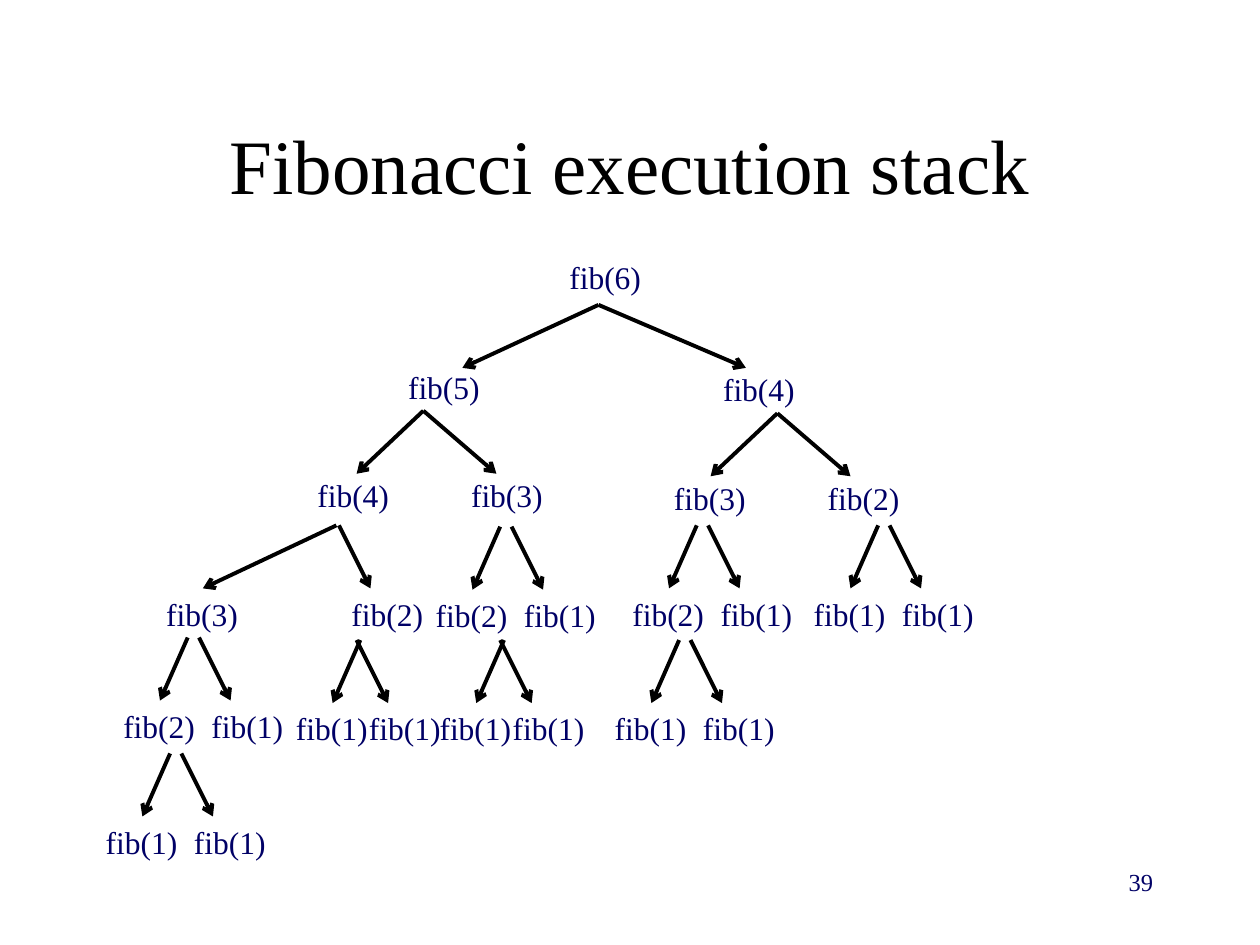
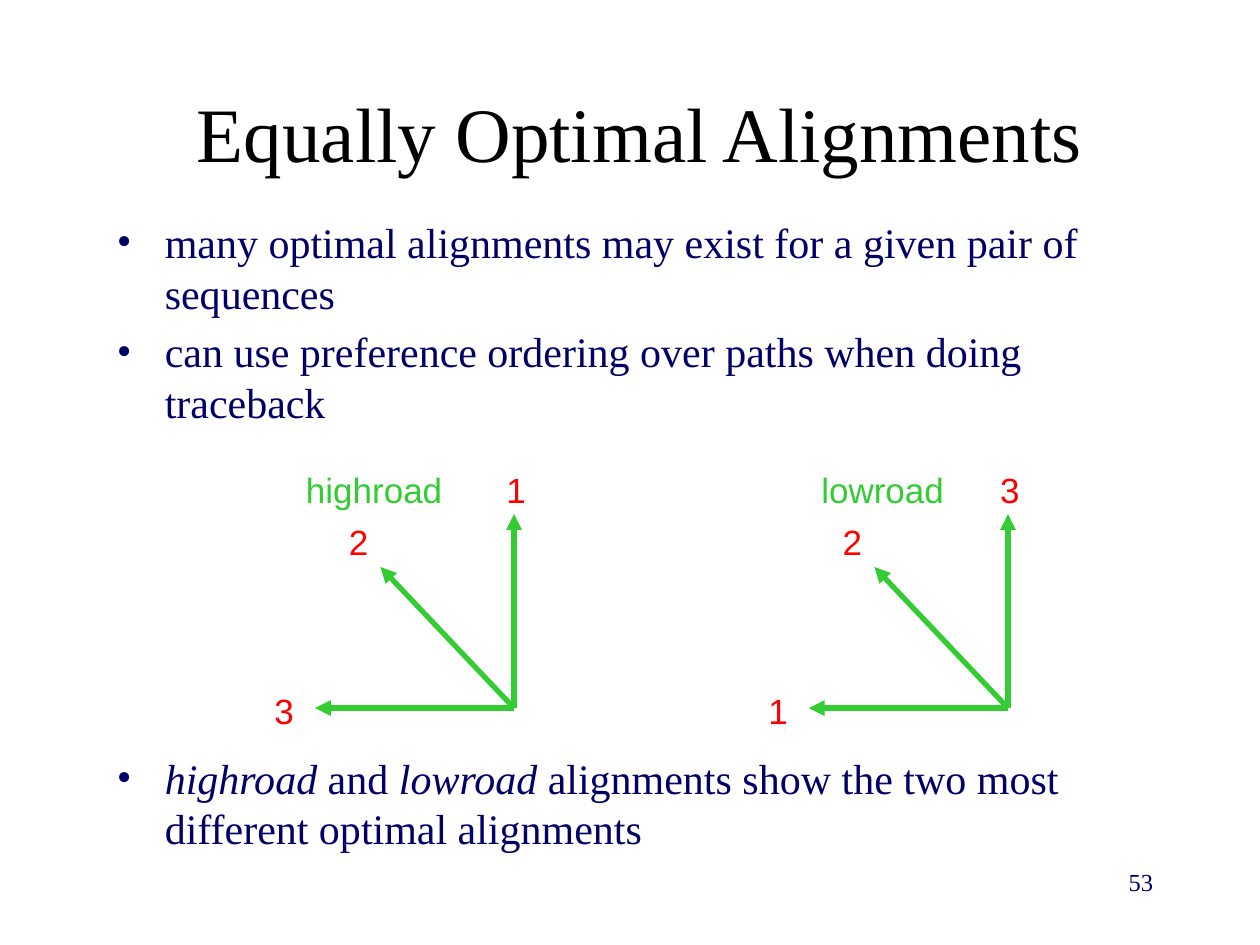
from dataclasses import dataclass

from lxml.etree import SubElement
from pptx import Presentation
from pptx.dml.color import RGBColor
from pptx.enum.shapes import MSO_CONNECTOR as Connector
from pptx.enum.text import MSO_ANCHOR as Anchor, MSO_AUTO_SIZE as AutoSize, PP_ALIGN as Align
from pptx.oxml.ns import qn
from pptx.util import Inches, Pt


@dataclass(frozen=True)
class Theme:
    serif: str = "Times New Roman"
    sans: str = "Arial"
    black: str = "000000"
    navy: str = "000066"
    green: str = "33CC33"
    red: str = "FF0000"
    title_size: int = 44
    body_size: int = 24
    path_size: int = 20
    call_size: int = 18
    number_size: int = 14
    call_line: float = 2.25
    path_line: float = 3
    bullet_indent: float = 0.38
    bullet_gap: float = 4.8


THEME = Theme()
TITLE_FORMAT = dict(name=THEME.serif, size=THEME.title_size, color=THEME.black)
BODY_FORMAT = dict(name=THEME.serif, size=THEME.body_size, color=THEME.navy)
CALL_FORMAT = dict(name=THEME.serif, size=THEME.call_size, color=THEME.navy)
NUMBER_FORMAT = dict(name=THEME.serif, size=THEME.number_size, color=THEME.navy)
ROAD_FORMAT = dict(name=THEME.sans, size=THEME.path_size, color=THEME.green)
RANK_FORMAT = dict(name=THEME.sans, size=THEME.path_size, color=THEME.red)

CALL_SIZE = (0.78, 0.4)
RANK_SIZE = (0.36, 0.43)


@dataclass(frozen=True)
class Fork:
    """Two arrows and the two calls below them, measured from the fork's corner."""
    starts: tuple
    ends: tuple
    call_gap: float
    call_tops: tuple = (0.5, 0.5)


def branch_fork(start):
    return Fork((start, start), (start - 0.53, start + 0.58), 1.22, (0.47, 0.47))


def leaf_fork(call_gap, left_start=0.61):
    return Fork((left_start, call_gap), (0.39, call_gap + 0.25), call_gap)


ROOT = Fork((1.61, 1.61), (0.53, 2.78), 2.5, (0.45, 0.47))
LEFT_BRANCH = branch_fork(0.94)
RIGHT_BRANCH = branch_fork(0.92)
LONG = leaf_fork(1.47, left_start=1.45)
LEAF = leaf_fork(0.7)
TIGHT = leaf_fork(0.58)

FORKS = [
    (ROOT, 3.14, 2.42, (5, 4)),
    (LEFT_BRANCH, 2.42, 3.26, (4, 3)),
    (RIGHT_BRANCH, 5.25, 3.28, (3, 2)),
    (LONG, 1.22, 4.17, (3, 2)),
    (LEAF, 3.36, 4.18, (2, 1)),
    (LEAF, 4.92, 4.17, (2, 1)),
    (LEAF, 6.36, 4.17, (1, 1)),
    (LEAF, 0.88, 5.06, (2, 1)),
    (TIGHT, 2.25, 5.08, (1, 1)),
    (TIGHT, 3.39, 5.08, (1, 1)),
    (LEAF, 4.78, 5.08, (1, 1)),
    (LEAF, 0.74, 5.98, (1, 1)),
]


def add_run(paragraph, text, text_format):
    run = paragraph.add_run()
    run.text = text
    for attribute, value in text_format.items():
        if attribute == "color":
            run.font.color.rgb = RGBColor.from_string(value)
        else:
            setattr(run.font, attribute, Pt(value) if attribute == "size" else value)


def add_box(shapes, box, **frame_format):
    text_frame = shapes.add_textbox(*map(Inches, box)).text_frame
    text_frame.word_wrap = True
    for attribute, value in frame_format.items():
        setattr(text_frame, attribute, value)
    return text_frame


def add_text(shapes, box, text, text_format, alignment=Align.LEFT, **frame_format):
    paragraph = add_box(shapes, box, **frame_format).paragraphs[0]
    paragraph.alignment = alignment
    add_run(paragraph, text, text_format)


def add_label(shapes, box, text, text_format):
    """One-line text whose box hugs it."""
    add_text(shapes, box, text, text_format,
             word_wrap=False, auto_size=AutoSize.SHAPE_TO_FIT_TEXT)


def add_arrow(shapes, start, end, color, width, head):
    arrow = shapes.add_connector(Connector.STRAIGHT, *map(Inches, (*start, *end)))
    arrow.line.color.rgb = RGBColor.from_string(color)
    arrow.line.width = Pt(width)
    SubElement(arrow.line._get_or_add_ln(), qn("a:tailEnd"), type=head)
    SubElement(arrow._element.spPr, qn("a:effectLst"))


def add_bullets(slide, box, items):
    """Each item is a list of (text, italic) pieces."""
    text_frame = add_box(slide.shapes, box)
    for index, pieces in enumerate(items):
        paragraph = text_frame.add_paragraph() if index else text_frame.paragraphs[0]
        properties = paragraph._p.get_or_add_pPr()
        properties.set("marL", str(Inches(THEME.bullet_indent)))
        properties.set("indent", str(-Inches(THEME.bullet_indent)))
        SubElement(properties, qn("a:buFont"), typeface=THEME.serif)
        SubElement(properties, qn("a:buChar"), char="•")
        if index:
            paragraph.space_before = Pt(THEME.bullet_gap)
        for text, italic in pieces:
            add_run(paragraph, text, BODY_FORMAT | dict(italic=italic))


def add_slide(presentation, title, title_corner, number):
    slide = presentation.slides.add_slide(presentation.slide_layouts[6])
    add_text(slide.shapes, (*title_corner, 8.5, 1.25), title, TITLE_FORMAT,
             Align.CENTER, vertical_anchor=Anchor.MIDDLE)
    add_text(slide.shapes, (7.17, 6.83, 2.08, 0.5), str(number), NUMBER_FORMAT, Align.RIGHT)
    return slide


def add_call(shapes, left, top, argument):
    add_label(shapes, (left, top, *CALL_SIZE), f"fib({argument})", CALL_FORMAT)


def add_fork(slide, fork, left, top, arguments):
    shapes = slide.shapes.add_group_shape().shapes
    for start, end in zip(fork.starts, fork.ends):
        add_arrow(shapes, (left + start, top), (left + end, top + 0.5),
                  THEME.black, THEME.call_line, "arrow")
    for index, (argument, call_top) in enumerate(zip(arguments, fork.call_tops)):
        add_call(shapes, left + index * fork.call_gap, top + call_top, argument)


def add_road(slide, left, top, road, road_left, road_width, ranks):
    """Three traceback paths from one cell, ranked from the upward path to the leftward one."""
    add_label(slide.shapes, (left + road_left, top, road_width, 0.43), road, ROAD_FORMAT)
    arrows = slide.shapes.add_group_shape().shapes
    paths = [((2, 0.41), (1.84, 0)), ((0.94, 0.83), (0.59, 0.41)), ((0.42, 1.95), (0, 1.75))]
    for rank, (tip, (rank_left, rank_top)) in zip(ranks, paths):
        add_arrow(arrows, (left + 2, top + 1.95), (left + tip[0], top + tip[1]),
                  THEME.green, THEME.path_line, "triangle")
        add_label(slide.shapes, (left + rank_left, top + rank_top, *RANK_SIZE),
                  str(rank), RANK_FORMAT)


def build_fibonacci_slide(presentation):
    slide = add_slide(presentation, "Fibonacci execution stack", (0.75, 0.67), 39)
    add_call(slide.shapes, 4.42, 2, 6)
    for fork, left, top, arguments in FORKS:
        add_fork(slide, fork, left, top, arguments)


def build_alignments_slide(presentation):
    slide = add_slide(presentation, "Equally Optimal Alignments", (0.83, 0.42), 53)
    add_bullets(slide, (0.83, 1.67, 8.5, 2.25), [
        [("many optimal alignments may exist for a given pair of sequences", False)],
        [("can use preference ordering over paths when doing traceback", False)],
    ])
    add_road(slide, 2.08, 3.67, "highroad", 0.25, 1.3, (1, 2, 3))
    add_road(slide, 6, 3.67, "lowroad", 0.42, 1.2, (3, 2, 1))
    add_bullets(slide, (0.83, 5.92, 8.5, 1.25), [
        [("highroad", True), (" and ", False), ("lowroad", True),
         (" alignments show the two most different optimal alignments", False)],
    ])


def main():
    presentation = Presentation()
    presentation.slide_width, presentation.slide_height = Inches(10), Inches(7.5)
    build_fibonacci_slide(presentation)
    build_alignments_slide(presentation)
    presentation.save("out.pptx")


if __name__ == "__main__":
    main()
